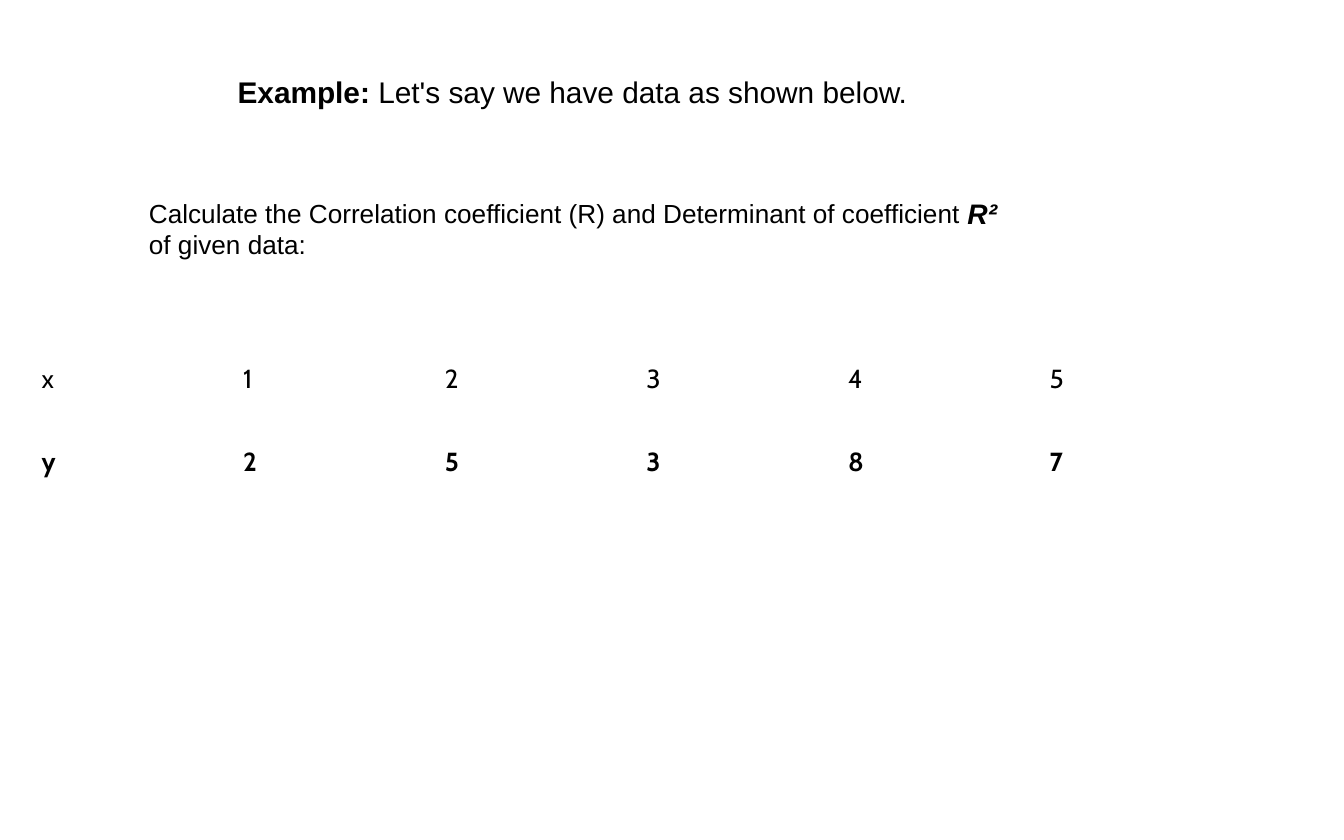
"""Build the slide that states the correlation coefficient example."""
from pptx import Presentation
from pptx.dml.color import RGBColor
from pptx.enum import text
from pptx.util import Inches, Pt

BLACK = RGBColor(0, 0, 0)
WHITE = RGBColor(255, 255, 255)
DATA = [("x", 1, 2, 3, 4, 5), ("y", 2, 5, 3, 8, 7)]
ROW_HEIGHTS = (0.8, 0.43)
COLUMN_WIDTH = 1.5


def style_run(run, size, font="Arial", bold=False, italic=False):
    run.font.name = font
    run.font.size = Pt(size)
    run.font.bold = bold
    run.font.italic = italic
    run.font.color.rgb = BLACK


def add_text(slide, left, top, width, height, runs, size, centered=False,
             right_inset=0.1, italic=False):
    frame = slide.shapes.add_textbox(
        Inches(left), Inches(top), Inches(width), Inches(height)).text_frame
    frame.word_wrap = True
    frame.margin_right = Inches(right_inset)
    paragraph = frame.paragraphs[0]
    paragraph.alignment = (
        text.PP_ALIGN.CENTER if centered else text.PP_ALIGN.LEFT)
    for wording, bold in runs:
        run = paragraph.add_run()
        run.text = wording
        style_run(run, size, bold=bold, italic=italic)


def fill_cell(cell, value, bold):
    cell.fill.background()
    cell.vertical_anchor = text.MSO_ANCHOR.MIDDLE
    cell.margin_left = Inches(0.12)
    cell.margin_right = Inches(0.07)
    cell.margin_top = cell.margin_bottom = Inches(0.1)
    cell.text = str(value)
    style_run(cell.text_frame.paragraphs[0].runs[0], 14, "Cabin", bold)


def add_data_table(slide, left, top):
    columns = len(DATA[0])
    table = slide.shapes.add_table(
        len(DATA), columns, Inches(left), Inches(top),
        Inches(columns * COLUMN_WIDTH), Inches(sum(ROW_HEIGHTS))).table
    table.first_row = False
    table.horz_banding = False
    for column in table.columns:
        column.width = Inches(COLUMN_WIDTH)
    for index, (values, height) in enumerate(zip(DATA, ROW_HEIGHTS)):
        table.rows[index].height = Inches(height)
        for cell, value in zip(table.rows[index].cells, values):
            fill_cell(cell, value, bold=values[0] == "y")


def main():
    deck = Presentation()
    deck.slide_width, deck.slide_height = Inches(10), Inches(6.25)
    slide = deck.slides.add_slide(deck.slide_layouts[6])
    slide.background.fill.solid()
    slide.background.fill.fore_color.rgb = WHITE

    add_text(slide, 1.01, 0.5, 6.5, 0.37,
             [("Example:", True),
              (" Let's say we have data as shown below.", False)],
             16, centered=True)
    add_data_table(slide, 0.19, 2.42)
    add_text(slide, 1.01, 1.42, 6.63, 0.81,
             [("Calculate the Correlation coefficient (R) and Determinant "
               "of coefficient of given data:", False)],
             14, right_inset=0.35)
    add_text(slide, 7.1, 1.41, 0.67, 0.36, [("R²", True)], 15.1, italic=True)
    deck.save("out.pptx")


if __name__ == "__main__":
    main()
